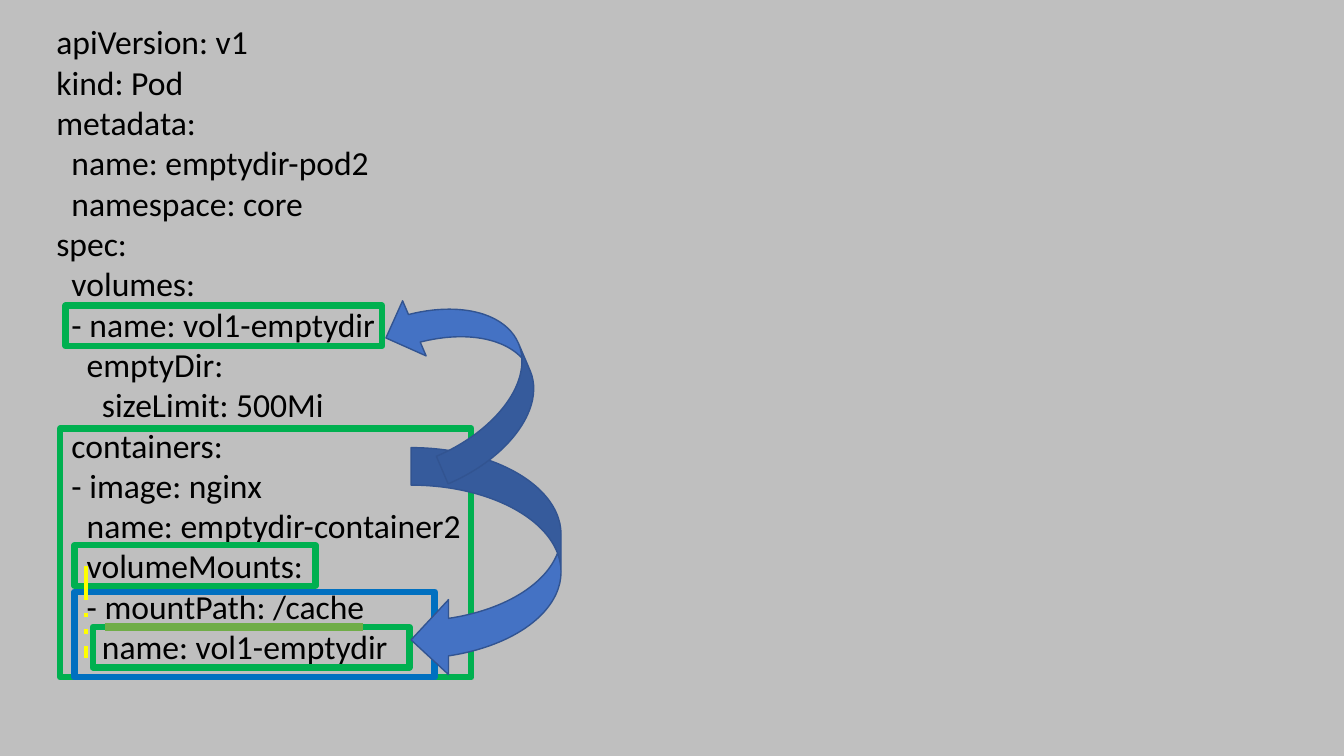
from pptx import Presentation
from pptx.dml.color import RGBColor
from pptx.enum.dml import MSO_LINE as Dash
from pptx.enum.shapes import MSO_CONNECTOR as Conn, MSO_SHAPE as Kind
from pptx.enum.text import MSO_AUTO_SIZE as Fit
from pptx.oxml.ns import qn
from pptx.util import Cm, Pt
from lxml import etree

GRAY = RGBColor(0xBF, 0xBF, 0xBF)
BLACK = RGBColor(0, 0, 0)
GREEN = RGBColor(0x00, 0xB0, 0x50)
BLUE = RGBColor(0x00, 0x70, 0xC0)
YELLOW = RGBColor(0xFF, 0xFF, 0x00)
LEAF = RGBColor(0x70, 0xAD, 0x47)
ARROW = RGBColor(0x44, 0x72, 0xC4)
EDGE = RGBColor(0x32, 0x54, 0x91)

YAML = """apiVersion: v1
kind: Pod
metadata:
  name: emptydir-pod2
  namespace: core
spec:
  volumes:
  - name: vol1-emptydir
    emptyDir:
      sizeLimit: 500Mi
  containers:
  - image: nginx
    name: emptydir-container2
    volumeMounts:
    - mountPath: /cache
      name: vol1-emptydir"""

# Slide
deck = Presentation()
deck.slide_width, deck.slide_height = Cm(33.87), Cm(19.05)
slide = deck.slides.add_slide(deck.slide_layouts[6])
slide.background.fill.solid()
slide.background.fill.fore_color.rgb = GRAY
shapes = slide.shapes

# Pod manifest
code = shapes.add_textbox(Cm(1.17), Cm(0.41), Cm(16.94), Cm(16.66))
frame = code.text_frame
frame.word_wrap = True
frame.auto_size = Fit.SHAPE_TO_FIT_TEXT
frame.text = YAML
for para in frame.paragraphs:
    para.font.name = "Calibri"
    para.font.size = Pt(24)
    para.font.color.rgb = BLACK

# Frames around the linked sections
for left, top, width, height, color in [
    (1.52, 10.8, 10.36, 6.27, GREEN),   # containers
    (1.65, 7.7, 7.98, 1.02, GREEN),     # volume name
    (2.34, 15.8, 7.98, 1.02, GREEN),    # mounted name
    (1.88, 13.74, 6.07, 1.02, GREEN),   # volumeMounts
    (1.88, 14.91, 9.07, 2.16, BLUE),    # mount entry
]:
    box = shapes.add_shape(Kind.RECTANGLE, Cm(left), Cm(top), Cm(width), Cm(height))
    box.shadow.inherit = False
    box.fill.background()
    box.line.color.rgb = color
    box.line.width = Pt(4.5)

# Indent guide and path underline
for x1, y1, x2, y2, color, weight, dash in [
    (2.16, 14.27, 2.16, 16.59, YELLOW, 3, Dash.DASH_DOT_DOT),
    (2.64, 15.8, 9.14, 15.8, LEAF, 6, Dash.SOLID),
]:
    rule = shapes.add_connector(Conn.STRAIGHT, Cm(x1), Cm(y1), Cm(x2), Cm(y2))
    rule.line.color.rgb = color
    rule.line.width = Pt(weight)
    rule.line.dash_style = dash
    etree.SubElement(rule._element.spPr, qn("a:effectLst"))

# Curved arrows to both uses of the volume name
for left, top, width, height, turn, flip in [
    (10.36, 11.28, 3.78, 5.79, 0, False),
    (10.24, 7.04, 3.02, 4.75, 156.9, True),
]:
    arrow = shapes.add_shape(Kind.CURVED_LEFT_ARROW, Cm(left), Cm(top), Cm(width), Cm(height))
    arrow.shadow.inherit = False
    arrow.rotation = turn
    if flip:
        arrow._element.spPr.find(qn("a:xfrm")).set("flipH", "1")
    arrow.fill.solid()
    arrow.fill.fore_color.rgb = ARROW
    arrow.line.color.rgb = EDGE
    arrow.line.width = Pt(1)

deck.save("out.pptx")
